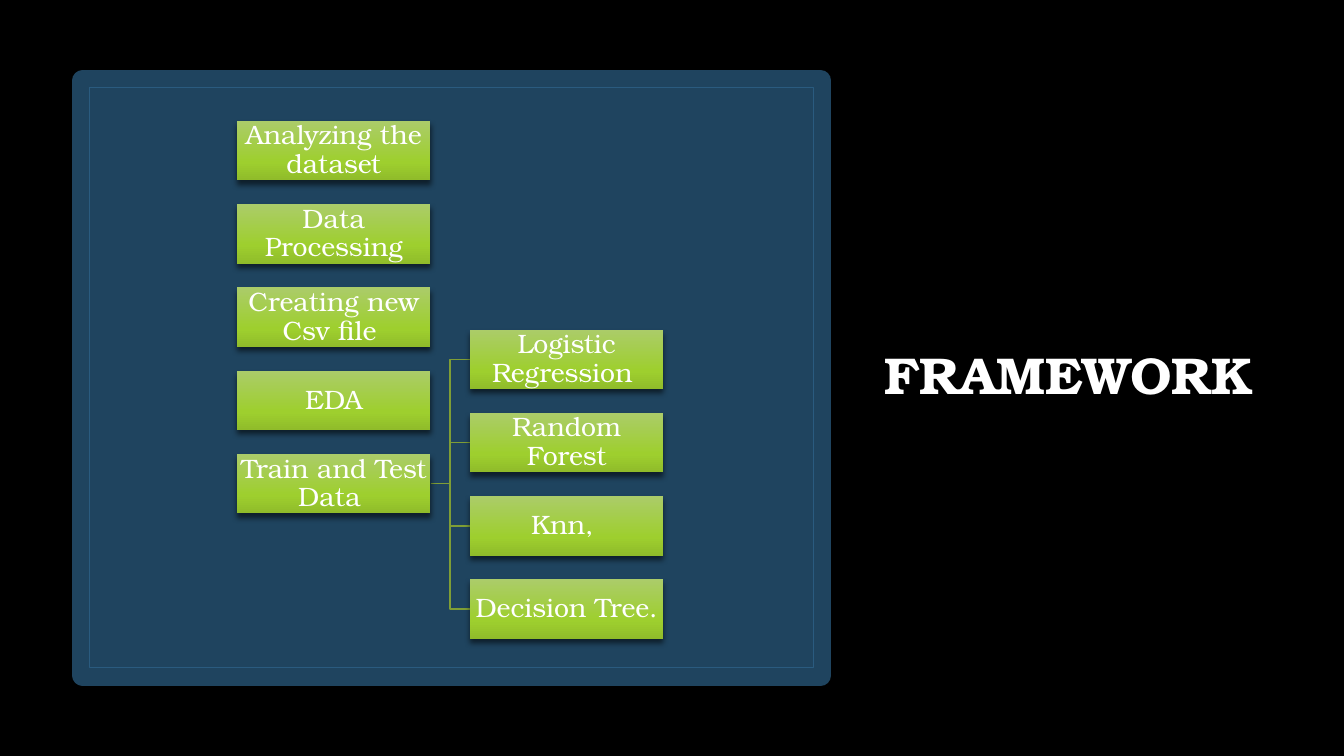
from pptx import Presentation
from pptx.dml.color import RGBColor
from pptx.enum.shapes import MSO_SHAPE
from pptx.enum.text import MSO_ANCHOR, PP_ALIGN
from pptx.oxml import parse_xml
from pptx.oxml.ns import nsdecls, qn
from pptx.util import Inches, Pt

RECTANGLE = MSO_SHAPE.RECTANGLE
MIDDLE = MSO_ANCHOR.MIDDLE
CENTER = PP_ALIGN.CENTER

THEME = {
    "background": RGBColor.from_string("000000"),
    "panel": RGBColor.from_string("1F445F"),
    "frame": RGBColor.from_string("2A5B7F"),
    "branch": RGBColor.from_string("7F9E36"),
    "text": RGBColor.from_string("FFFFFF"),
    "shadow": "000000",
    "gradient": [(0, "ABCC69"), (69, "9ECF2E"), (100, "90BC2A")],
    "font": "TeX Gyre Bonum",
    "title_size": Pt(37),
    "step_size": Pt(19),
}

STEP_WIDTH, STEP_HEIGHT, STEP_PITCH = 1.92, 0.59, 0.826
STEPS_LEFT, STEPS_TOP = 2.35, 1.2
MODELS_LEFT, MODELS_TOP = 4.66, 3.27
STEPS = ["Analyzing the dataset", "Data Processing", "Creating new Csv file ",
         "EDA", "Train and Test Data "]
MODELS = ["Logistic Regression ", "Random Forest", "Knn, ", "Decision Tree."]


def write_text(shape, text, size, bold, inset):
    frame = shape.text_frame
    frame_format = {
        "word_wrap": True, "vertical_anchor": MIDDLE,
        "margin_left": inset, "margin_right": inset,
        "margin_top": inset, "margin_bottom": inset,
    }
    for name, value in frame_format.items():
        setattr(frame, name, value)
    para = frame.paragraphs[0]
    para.alignment = CENTER
    para.line_spacing = 0.9
    span = para.add_run()
    span.text = text
    span.font.color.rgb = THEME["text"]
    for name, value in {"name": THEME["font"], "size": size, "bold": bold}.items():
        setattr(span.font, name, value)


def cast_shadow(shape, opacity, blur, distance):
    shape.shadow.inherit = False
    effects = shape._element.spPr.find(qn("a:effectLst"))
    effects.append(parse_xml(
        f'<a:outerShdw {nsdecls("a")} blurRad="{Pt(blur)}" dist="{Pt(distance)}" '
        f'dir="5400000" algn="ctr" rotWithShape="0"><a:srgbClr val="{THEME["shadow"]}">'
        f'<a:alpha val="{opacity * 1000}"/></a:srgbClr></a:outerShdw>'))


deck = Presentation()
deck.slide_width, deck.slide_height = Inches(13.33), Inches(7.5)
page = deck.slides.add_slide(deck.slide_layouts[6])
page.background.fill.solid()
page.background.fill.fore_color.rgb = THEME["background"]

title = page.shapes.add_textbox(Inches(8.61), Inches(0.69), Inches(3.98), Inches(6.11))
write_text(title, "FRAMEWORK", THEME["title_size"], True, Inches(0.05))

panel = page.shapes.add_shape(RECTANGLE, Inches(0.82), Inches(0.8), Inches(7.32), Inches(5.9))
panel.fill.solid()
panel.fill.fore_color.rgb = THEME["panel"]
panel.line.color.rgb = THEME["panel"]
panel.line.width = Pt(15)
cast_shadow(panel, 40, 4.3, 1.4)

inner_frame = page.shapes.add_shape(
    RECTANGLE, Inches(0.89), Inches(0.87), Inches(7.18), Inches(5.75))
inner_frame.fill.background()
inner_frame.line.color.rgb = THEME["frame"]
inner_frame.line.width = Pt(1)
inner_frame.shadow.inherit = False

branch_left = STEPS_LEFT + STEP_WIDTH
branch_middle = (branch_left + MODELS_LEFT) / 2
branch_start = STEPS_TOP + (len(STEPS) - 1) * STEP_PITCH + STEP_HEIGHT / 2
for row in reversed(range(len(MODELS))):
    branch_end = MODELS_TOP + row * STEP_PITCH + STEP_HEIGHT / 2
    outline = page.shapes.build_freeform(Inches(branch_left), Inches(branch_start))
    corners = [(branch_middle, branch_start), (branch_middle, branch_end),
               (MODELS_LEFT, branch_end)]
    outline.add_line_segments([(Inches(x), Inches(y)) for x, y in corners], close=False)
    branch = outline.convert_to_shape()
    branch.fill.background()
    branch.line.color.rgb = THEME["branch"]
    branch.line.width = Pt(1)
    branch.shadow.inherit = False

for left, top, labels in [(STEPS_LEFT, STEPS_TOP, STEPS), (MODELS_LEFT, MODELS_TOP, MODELS)]:
    for row, label in enumerate(labels):
        box = page.shapes.add_shape(
            RECTANGLE, Inches(left), Inches(top + row * STEP_PITCH),
            Inches(STEP_WIDTH), Inches(STEP_HEIGHT))
        box.fill.gradient()
        box.fill.gradient_angle = 270
        stops = box._element.spPr.find(qn("a:gradFill")).find(qn("a:gsLst"))
        for stop in list(stops):
            stops.remove(stop)
        for position, color in THEME["gradient"]:
            stops.append(parse_xml(
                f'<a:gs {nsdecls("a")} pos="{position * 1000}">'
                f'<a:srgbClr val="{color}"/></a:gs>'))
        box.line.fill.background()
        cast_shadow(box, 54, 4, 3)
        write_text(box, label, THEME["step_size"], False, Inches(0.01))

deck.save("out.pptx")
